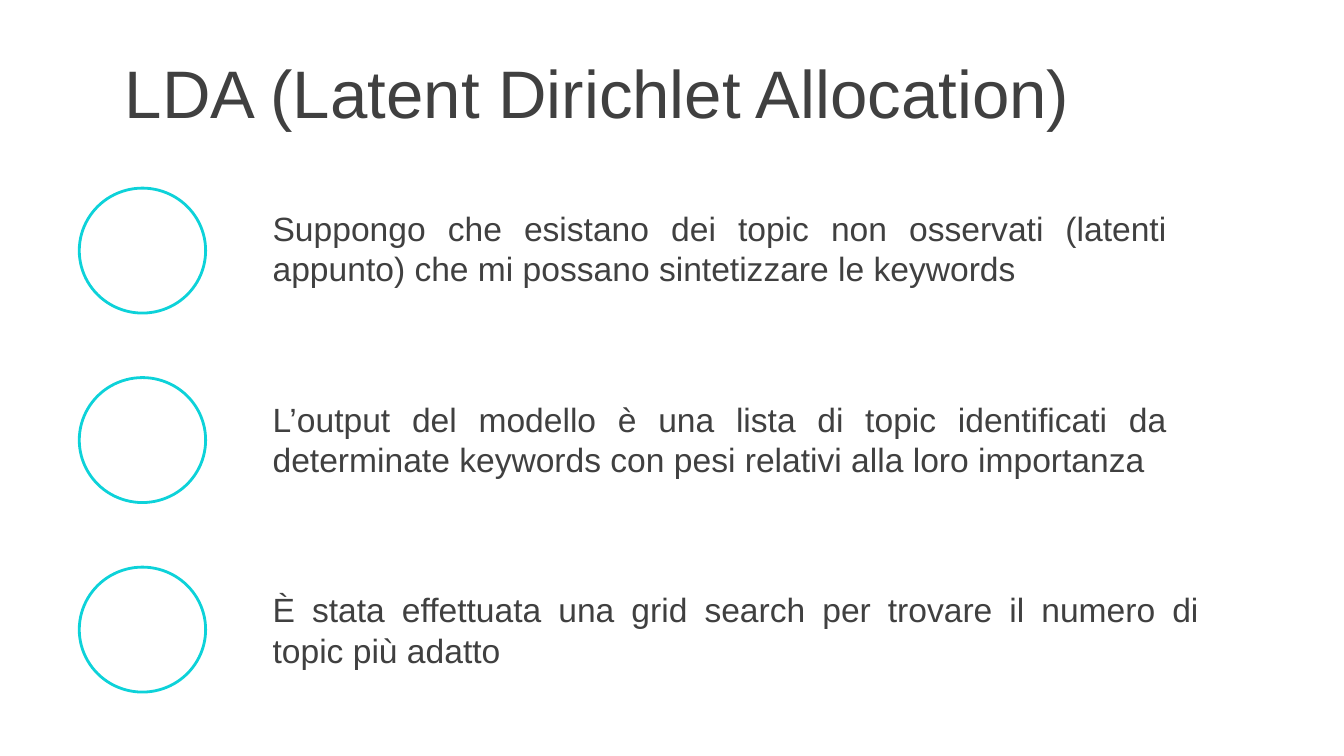
import pptx
import pptx.util
import pptx.dml.color
import pptx.enum.shapes
import pptx.enum.text

Inches = pptx.util.Inches
Align = pptx.enum.text.PP_ALIGN

TITLE = "LDA (Latent Dirichlet Allocation)"
POINTS = [
    ("Suppongo che esistano dei topic non osservati (latenti appunto) "
     "che mi possano sintetizzare le keywords", 6.85),
    ("L’output del modello è una lista di topic identificati da "
     "determinate keywords con pesi relativi alla loro importanza", 6.85),
    ("È stata effettuata una grid search per trovare il numero di "
     "topic più adatto", 7.09),
]

THEME = {
    "font": "Arial",
    "title_size": 36,
    "point_size": 18,
    "text": "404040",
    "accent": "0DD2D9",
    "background": "FFFFFF",
}

SLIDE_WIDTH = 10
SLIDE_HEIGHT = SLIDE_WIDTH * 9 / 16
CIRCLE_TOP, CIRCLE_PITCH = 1.4, 1.41
POINT_TOP, POINT_PITCH = 1.49, 1.42


def color(name):
    return pptx.dml.color.RGBColor.from_string(THEME[name])


def write(frame, wording, size, alignment):
    frame.word_wrap = True
    frame.vertical_anchor = pptx.enum.text.MSO_ANCHOR.MIDDLE
    frame.margin_left = frame.margin_right = Inches(0.1)
    frame.margin_top = frame.margin_bottom = Inches(0.05)
    paragraph = frame.paragraphs[0]
    paragraph.alignment = alignment
    run = paragraph.add_run()
    run.text = wording
    run.font.name = THEME["font"]
    run.font.size = pptx.util.Pt(THEME[size])
    run.font.color.rgb = color("text")


def add_circle(slide, top):
    circle = slide.shapes.add_shape(
        pptx.enum.shapes.MSO_SHAPE.OVAL,
        Inches(0.59), Inches(top), Inches(0.94), Inches(0.93))
    circle.shadow.inherit = False
    circle.fill.solid()
    circle.fill.fore_color.rgb = color("background")
    circle.line.color.rgb = color("accent")
    circle.line.width = pptx.util.Pt(1.5)


def add_point(slide, wording, top, width):
    point = slide.shapes.add_textbox(
        Inches(1.93), Inches(top), Inches(width), Inches(0.71))
    write(point.text_frame, wording, "point_size", Align.JUSTIFY)
    point.text_frame.auto_size = pptx.enum.text.MSO_AUTO_SIZE.SHAPE_TO_FIT_TEXT


def main():
    deck = pptx.Presentation()
    deck.slide_width = Inches(SLIDE_WIDTH)
    deck.slide_height = Inches(SLIDE_HEIGHT)
    slide = deck.slides.add_slide(deck.slide_layouts.get_by_name("Title Only"))
    slide.background.fill.solid()
    slide.background.fill.fore_color.rgb = color("background")

    title = slide.shapes.title
    title.left, title.top = Inches(0.83), Inches(0.37)
    title.width, title.height = Inches(9.17), Inches(0.63)
    write(title.text_frame, TITLE, "title_size", Align.LEFT)

    for row, (wording, width) in enumerate(POINTS):
        add_circle(slide, CIRCLE_TOP + row * CIRCLE_PITCH)
        add_point(slide, wording, POINT_TOP + row * POINT_PITCH, width)

    deck.save("out.pptx")


if __name__ == "__main__":
    main()
